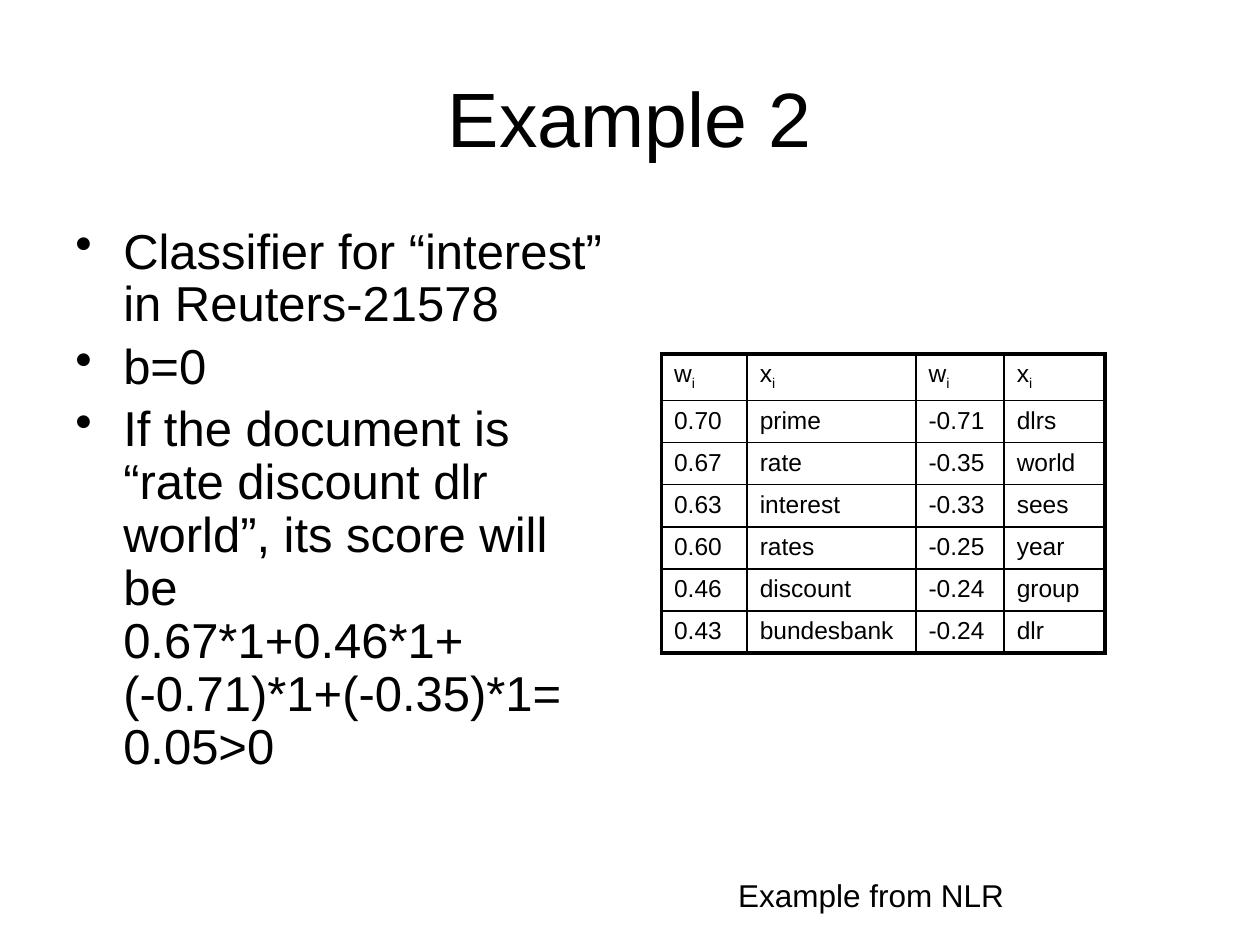
from lxml import etree
from pptx import Presentation, util as u
from pptx.dml.color import RGBColor
from pptx.enum import text
from pptx.oxml.ns import qn

HEADER = ["w", "x", "w", "x"]
WEIGHTS = [
    ["0.70", "prime", "-0.71", "dlrs"],
    ["0.67", "rate", "-0.35", "world"],
    ["0.63", "interest", "-0.33", "sees"],
    ["0.60", "rates", "-0.25", "year"],
    ["0.46", "discount", "-0.24", "group"],
    ["0.43", "bundesbank", "-0.24", "dlr"],
]
COLUMN_WIDTHS = [0.68, 1.34, 0.7, 0.8]
HEADER_HEIGHT, ROW_HEIGHT = 0.37, 2 / 6
INNER_LINE, OUTER_LINE = 1, 2.25
BULLETS = [
    "Classifier for “interest” in Reuters-21578",
    "b=0",
    "If the document is “rate discount dlr world”, its score will be\v"
    "0.67*1+0.46*1+\v(-0.71)*1+(-0.35)*1= 0.05>0",
]


def color(hex_value):
    return RGBColor.from_string(hex_value)


class SlideBuilder:
    """Holds the text style and the current slide."""

    font_name = "Arial"
    ink = "000000"

    def __init__(self, slide):
        self.s = slide

    def style(self, font, size):
        for name, value in {"name": self.font_name, "size": u.Pt(size)}.items():
            setattr(font, name, value)
        font.color.rgb = color(self.ink)

    def text_box(self, box, paragraphs, size, bullet=False, **frame_format):
        sp = self.s.shapes.add_textbox(*map(u.Inches, box))
        tf = sp.text_frame
        for name, value in {"word_wrap": True, **frame_format}.items():
            setattr(tf, name, value)
        for i, line in enumerate(paragraphs):
            p = tf.add_paragraph() if i else tf.paragraphs[0]
            p.text = line
            if bullet:
                self.bullet(p, first=i == 0)
            for r in p.runs:
                self.style(r.font, size)
        return tf

    def bullet(self, p, first):
        p.line_spacing = 0.9
        if not first:
            p.space_before = u.Pt(5.4)
        pPr = p._p.get_or_add_pPr()
        indent = u.Inches(0.38)
        pPr.set("marL", str(indent))
        pPr.set("indent", str(-indent))
        etree.SubElement(pPr, qn("a:buChar")).set("char", "•")

    def border(self, cell, side, width):
        ln = etree.SubElement(cell._tc.get_or_add_tcPr(), qn(f"a:ln{side}"))
        ln.set("w", str(u.Pt(width)))
        fill = etree.SubElement(ln, qn("a:solidFill"))
        etree.SubElement(fill, qn("a:srgbClr")).set("val", self.ink)

    def table(self, left, top, header, rows, size):
        row_heights = [HEADER_HEIGHT] + [ROW_HEIGHT] * len(rows)
        last_row, last_col = len(rows), len(header) - 1
        box = (left, top, sum(COLUMN_WIDTHS), sum(row_heights))
        tbl = self.s.shapes.add_table(
            last_row + 1, last_col + 1, *map(u.Inches, box)).table
        tbl.first_row = tbl.horz_banding = False
        for column, width in zip(tbl.columns, COLUMN_WIDTHS):
            column.width = u.Inches(width)
        for row, height in zip(tbl.rows, row_heights):
            row.height = u.Inches(height)

        for i, values in enumerate([header] + rows):
            for j, value in enumerate(values):
                cell = tbl.cell(i, j)
                p = cell.text_frame.paragraphs[0]
                for part in [value] if i else [value, "i"]:
                    r = p.add_run()
                    r.text = part
                    self.style(r.font, size)
                if i == 0:  # the index of a header symbol is a subscript
                    r.font._element.set("baseline", "-25000")
                outer = {"L": j == 0, "R": j == last_col,
                         "T": i == 0, "B": i == last_row}
                for side, is_outer in outer.items():
                    self.border(cell, side, OUTER_LINE if is_outer else INNER_LINE)
                cell.fill.background()


def main():
    prs = Presentation()
    prs.slide_width, prs.slide_height = u.Inches(10), u.Inches(7.5)
    page = SlideBuilder(prs.slides.add_slide(prs.slide_layouts[6]))

    # Title
    tf = page.text_box((0.5, 0.3, 9, 1.25), ["Example 2"], 44,
                       vertical_anchor=text.MSO_ANCHOR.MIDDLE)
    tf.paragraphs[0].alignment = text.PP_ALIGN.CENTER

    # Classifier description
    page.text_box((0.5, 1.75, 4.42, 4.95), BULLETS, 28, bullet=True)

    # Source note
    page.text_box((5.76, 6.9, 2.37, 0.4), ["Example from NLR"], 18, word_wrap=False,
                  auto_size=text.MSO_AUTO_SIZE.SHAPE_TO_FIT_TEXT)

    # Word weights
    page.table(5.25, 2.81, HEADER, WEIGHTS, 14)

    prs.save("out.pptx")


if __name__ == "__main__":
    main()
